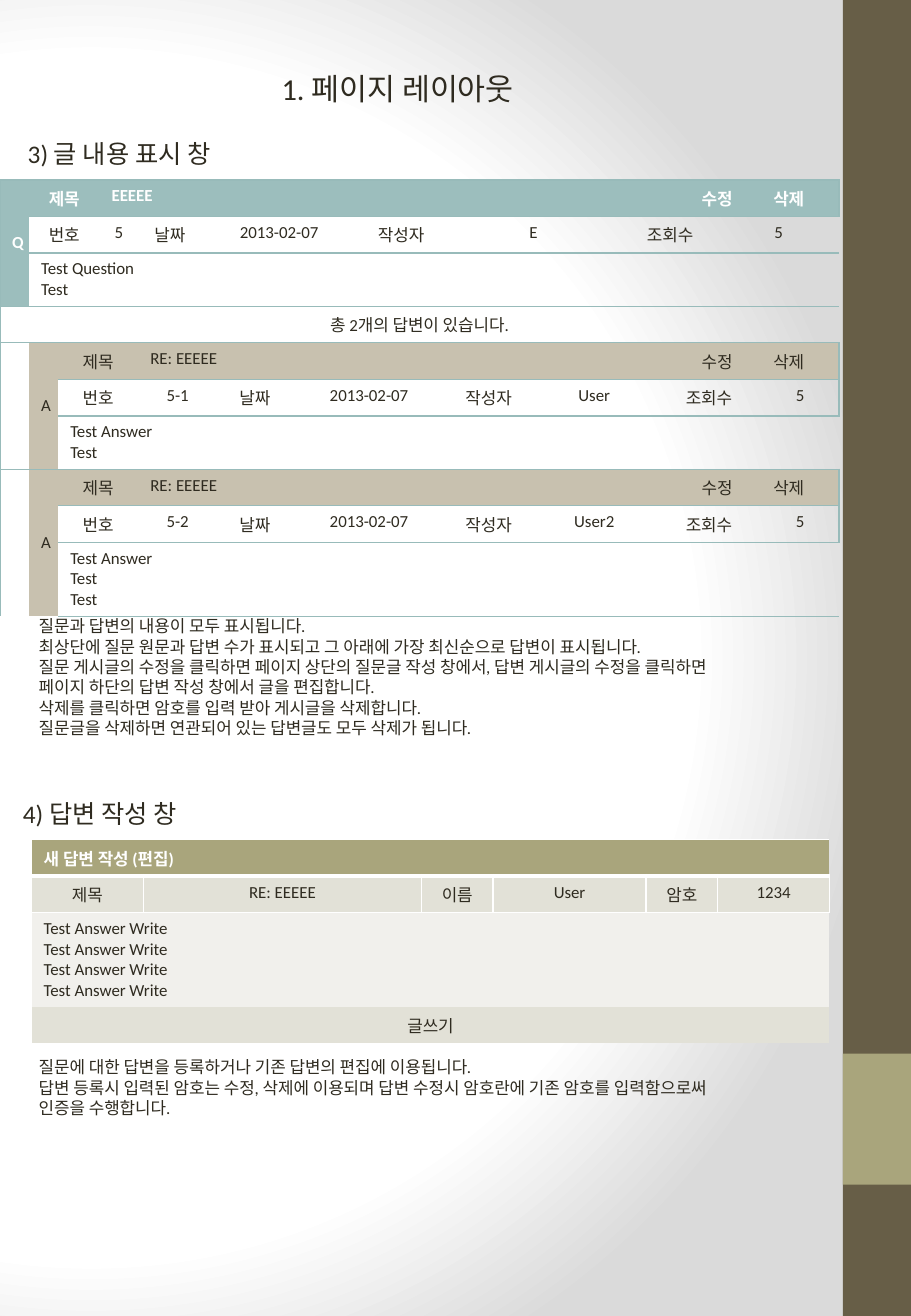
from pptx import Presentation
from pptx.dml.color import RGBColor
from pptx.enum.shapes import MSO_SHAPE
from pptx.enum.text import MSO_ANCHOR, MSO_AUTO_SIZE, PP_ALIGN
from pptx.oxml import parse_xml
from pptx.util import Inches, Pt

WIDTH, HEIGHT = 7.5, 10.83
INK, WHITE, TEAL, RULE, SAND = "2F2B20", "FFFFFF", "9CBEBD", "98BBBA", "C8C1AF"
OLIVE, FORM_DARK, FORM_LIGHT, BROWN = "A9A57C", "E2E1D7", "F1F0EC", "675E47"
NS = "http://schemas.openxmlformats.org/drawingml/2006/main"
PNS = "http://schemas.openxmlformats.org/presentationml/2006/main"

side_bars = [(0, HEIGHT, BROWN), (8.67, 1.08, OLIVE)]
headings = [
    ("1. 페이지 레이아웃", 2.22, 0.53, 2.34, 0.4, 18),
    ("3) 글 내용 표시 창", 0.13, 1.09, 1.82, 0.35, 15),
    ("4) 답변 작성 창", 0.09, 6.52, 1.61, 0.35, 15),
]
view_notes = [
    "질문과 답변의 내용이 모두 표시됩니다.",
    "최상단에 질문 원문과 답변 수가 표시되고 그 아래에 가장 최신순으로 답변이 표시됩니다.",
    "질문 게시글의 수정을 클릭하면 페이지 상단의 질문글 작성 창에서, 답변 게시글의 수정을 클릭하면",
    "페이지 하단의 답변 작성 창에서 글을 편집합니다.",
    "삭제를 클릭하면 암호를 입력 받아 게시글을 삭제합니다.",
    "질문글을 삭제하면 연관되어 있는 답변글도 모두 삭제가 됩니다.",
]
form_notes = [
    "질문에 대한 답변을 등록하거나 기존 답변의 편집에 이용됩니다.",
    "답변 등록시 입력된 암호는 수정, 삭제에 이용되며 답변 수정시 암호란에 기존 암호를 입력함으로써",
    "인증을 수행합니다.",
]

view_columns = [0.23, 0.23, 0.34, 0.32, 0.52, 0.13, 0.62, 0.53,
                0.73, 0.71, 0.74, 0.29, 0.27, 0.24, 0.35, 0.64]
view_rows = [0.27, 0.27, 0.44, 0.27, 0.27, 0.27, 0.44, 0.27, 0.27, 0.61]
answer_spans = [(2, 9, 2, 1), (2, 2, 1, 2, 1, 2, 3, 1), (14,)]
question_spans = [(2, 10, 2, 1), (2, 1, 1, 3, 1, 2, 3, 2), (15,)]
answer_count = "총 2개의 답변이 있습니다."
posts = [
    dict(row=0, mark="Q", indent=0, subject="EEEEE", number="5", author="E",
         body="Test Question\nTest", spans=question_spans, fill=TEAL, color=WHITE, bold=True),
    dict(row=4, mark="A", indent=1, subject="RE: EEEEE", number="5-1", author="User",
         body="Test Answer\nTest", spans=answer_spans, fill=SAND, color=INK, bold=False),
    dict(row=7, mark="A", indent=1, subject="RE: EEEEE", number="5-2", author="User2",
         body="Test Answer\nTest\nTest", spans=answer_spans, fill=SAND, color=INK, bold=False),
]

form_columns = [0.92, 2.29, 0.59, 1.26, 0.59, 0.92]
form_rows = [0.27, 0.27, 0.77, 0.27]
form_title = "새 답변 작성 (편집)"
form_fields = ["제목", "RE: EEEEE", "이름", "User", "암호", "1234"]
form_body = "\n".join(["Test Answer Write"] * 4)
form_button = "글쓰기"


def paint(fill, color):
    if color is None:
        fill.background()
    else:
        fill.solid()
        fill.fore_color.rgb = RGBColor.from_string(color)


def write(frame, text, size=10, color=INK, bold=False, center=False, middle=False):
    frame.text = text
    frame.vertical_anchor = MSO_ANCHOR.MIDDLE if middle else MSO_ANCHOR.TOP
    for paragraph in frame.paragraphs:
        paragraph.alignment = PP_ALIGN.CENTER if center else PP_ALIGN.LEFT
        for run in paragraph.runs:
            run.font.name, run.font.size, run.font.bold = "Calibri", Pt(size), bold
            run.font.color.rgb = RGBColor.from_string(color)


def text_box(text, left, top, width, height, size=10):
    box = slide.shapes.add_textbox(*map(Inches, (left, top, width, height)))
    write(box.text_frame, text, size=size)
    box.text_frame.word_wrap = False
    box.text_frame.auto_size = MSO_AUTO_SIZE.SHAPE_TO_FIT_TEXT


def edge(cell, side, color, width):
    line = f'<a:solidFill><a:srgbClr val="{color}"/></a:solidFill>' if width else "<a:noFill/>"
    return parse_xml(f'<a:ln{side} xmlns:a="{NS}" w="{Pt(width)}">{line}</a:ln{side}>')


def grid(left, top, columns, rows):
    size = map(Inches, (left, top, sum(columns), sum(rows)))
    table = slide.shapes.add_table(len(rows), len(columns), *size).table
    table.first_row = table.horz_banding = False
    for column, width in zip(table.columns, columns):
        column.width = Inches(width)
    for row, height in zip(table.rows, rows):
        row.height = Inches(height)
    return table


def place(table, row, col, text, rows=1, cols=1, fill=None, rule=RULE,
          sides=None, **look):
    last_row, last_col = row + rows - 1, col + cols - 1
    if sides is None:
        sides = dict(L=int(col == 0), R=int(last_col == len(table.columns) - 1), T=1, B=1)
    for r in range(row, last_row + 1):
        for c in range(col, last_col + 1):
            cell = table.cell(r, c)
            paint(cell.fill, fill)
            outer = dict(L=c == col, R=c == last_col, T=r == row, B=r == last_row)
            for index, side in enumerate("LRTB"):
                width = sides[side] if outer[side] else 0
                cell._tc.get_or_add_tcPr().insert(index, edge(cell, side, rule, width))
    first = table.cell(row, col)
    if rows * cols > 1:
        first.merge(table.cell(last_row, last_col))
    if text:
        write(first.text_frame, text, **look)
        first.vertical_anchor = MSO_ANCHOR.MIDDLE if look.get("middle") else MSO_ANCHOR.TOP


def place_post(table, row, mark, indent, subject, number, author, body, spans, fill, **look):
    if indent:
        place(table, row, 0, "", rows=3, cols=indent)
    place(table, row, indent, mark, rows=3, fill=fill, middle=True, **look)
    lines = [
        ["제목", subject, "수정", "삭제"],
        ["번호", number, "날짜", "2013-02-07", "작성자", author, "조회수", "5"],
        [body],
    ]
    for offset, (texts, widths) in enumerate(zip(lines, spans)):
        col = indent + 1
        style = dict(fill=fill, **look) if offset == 0 else {}
        for text, cols in zip(texts, widths):
            centered = offset == 1 or text == "제목"
            place(table, row + offset, col, text, cols=cols, center=centered, **style)
            col += cols


deck = Presentation()
deck.slide_width, deck.slide_height = Inches(WIDTH), Inches(HEIGHT)
slide = deck.slides.add_slide(deck.slide_layouts[6])

stops = "".join(f'<a:gs pos="{share * 1000}"><a:srgbClr val="{color}"/></a:gs>'
                for share, color in [(0, WHITE), (75, WHITE), (100, "DADADA")])
slide.element.cSld.insert(0, parse_xml(
    f'<p:bg xmlns:p="{PNS}" xmlns:a="{NS}"><p:bgPr><a:gradFill rotWithShape="1">'
    f'<a:gsLst>{stops}</a:gsLst><a:path path="circle">'
    '<a:fillToRect l="20000" t="50000" r="100000" b="50000"/></a:path></a:gradFill>'
    '<a:effectLst/></p:bgPr></p:bg>'))

for top, height, color in side_bars:
    bar = slide.shapes.add_shape(
        MSO_SHAPE.RECTANGLE, *map(Inches, (6.94, top, 0.56, height)))
    bar.shadow.inherit = False
    paint(bar.fill, color)
    bar.line.fill.background()

form = grid(0.26, 6.91, form_columns, form_rows)
full = len(form_columns)
place(form, 0, 0, form_title, cols=full, fill=OLIVE, rule=WHITE,
      sides=dict(L=1, R=1, T=1, B=3), color=WHITE, bold=True)
for col, field in enumerate(form_fields):
    place(form, 1, col, field, fill=FORM_DARK, rule=WHITE,
          sides=dict(L=1, R=1, T=3, B=1), center=True)
place(form, 2, 0, form_body, cols=full, fill=FORM_LIGHT, rule=WHITE,
      sides=dict(L=1, R=1, T=1, B=0))
place(form, 3, 0, form_button, cols=full, fill=FORM_DARK,
      sides=dict.fromkeys("LRTB", 0), center=True)

view = grid(0, 1.48, view_columns, view_rows)
for post in posts:
    place_post(view, **post)
place(view, 3, 0, answer_count, cols=len(view_columns), center=True, middle=True)

for text, left, top, width, height, size in headings:
    text_box(text, left, top, width, height, size)
text_box("\n".join(view_notes), 0.22, 5.02, 6.23, 1.11)
text_box("\n".join(form_notes), 0.22, 8.65, 6.23, 0.61)

deck.save("out.pptx")
